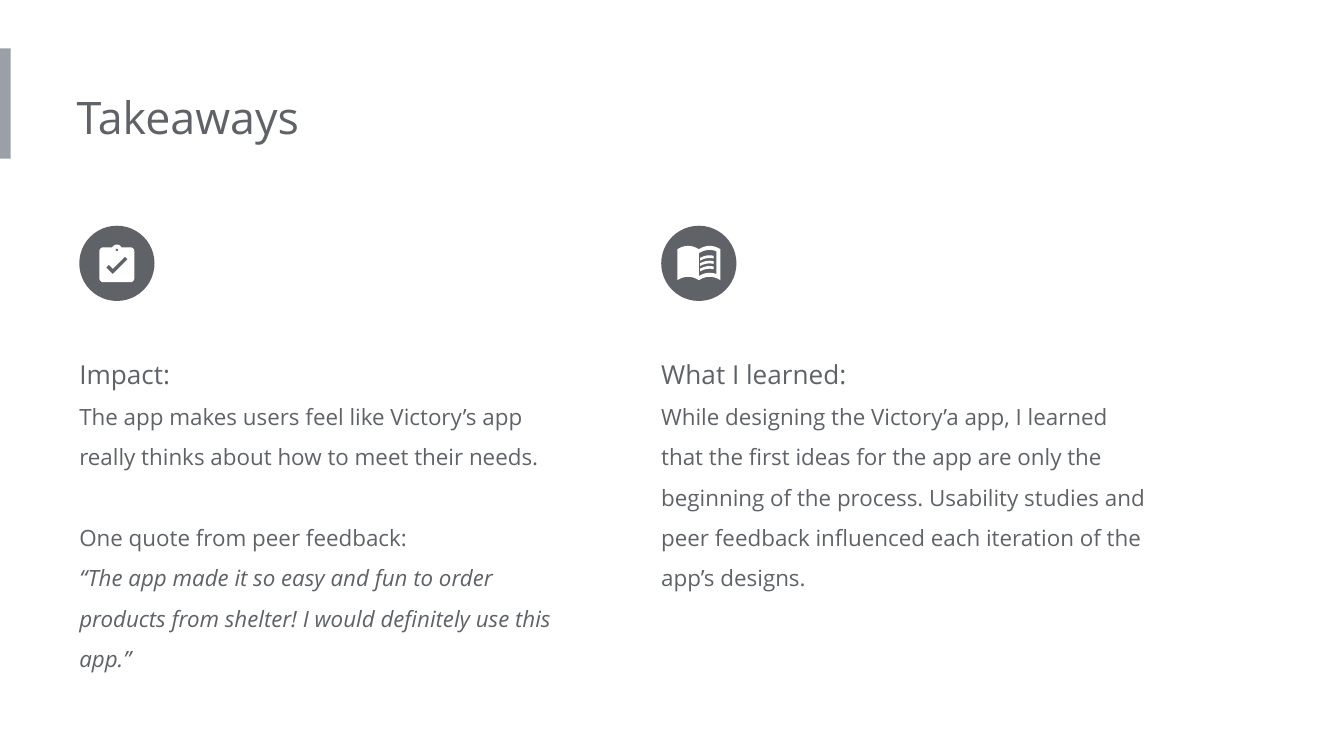
import math
from dataclasses import dataclass

import pptx
import pptx.dml.color
import pptx.enum.shapes
import pptx.enum.text
import pptx.util

Inches, Pt = pptx.util.Inches, pptx.util.Pt
SHAPE = pptx.enum.shapes.MSO_SHAPE
Point = tuple[float, float]
Contour = list[Point]

COLORS = {"text": "5F6368", "accent": "9AA0A6", "icon": "FFFFFF"}
FONT = "Open Sans"
WIDTH = 10
HEIGHT = WIDTH * 9 / 16

# Column grid, in inches
MARGIN, PITCH, COLUMN_WIDTH = 0.59, 4.33, 3.77
BADGE_TOP, BADGE_SIZE, BODY_TOP = 1.68, 0.56, 2.45


@dataclass
class Line:
    text: str
    size: int = 12
    italic: bool = False
    before: float = 0


@dataclass
class Column:
    lines: list[Line]
    height: float
    icon: list[list[Contour]]  # shapes made of contours around the badge centre


def rgb(name: str) -> pptx.dml.color.RGBColor:
    return pptx.dml.color.RGBColor.from_string(COLORS[name])


def arc(cx: float, cy: float, radius: float, start: int, end: int) -> Contour:
    """Points on a clockwise arc; angles are in degrees from the right."""
    angles = [math.radians(start + (end - start) * i / 12) for i in range(13)]
    return [(cx + radius * math.cos(a), cy + radius * math.sin(a)) for a in angles]


def page_edge(x0: float, x1: float, peak_y: float) -> Contour:
    """A curved page edge that is highest in the middle of its page."""
    xs = [x0 + (x1 - x0) * i / 12 for i in range(13)]
    return [(x, peak_y + 3.9 * (abs(x) - 0.08) ** 2) for x in xs]


def page_band(x0: float, x1: float, top: float, bottom: float) -> Contour:
    return page_edge(x0, x1, top) + page_edge(x1, x0, bottom)


def clipboard_icon() -> list[list[Contour]]:
    board = (arc(0, -0.1, 0.04, 210, 330)
             + arc(0.1, -0.09, 0.03, 270, 360) + arc(0.1, 0.11, 0.03, 0, 90)
             + arc(-0.1, 0.11, 0.03, 90, 180) + arc(-0.1, -0.09, 0.03, 180, 270))
    pin = arc(0, -0.1, 0.01, 0, 360)
    check = [(-0.03, 0.08), (-0.08, 0.03), (-0.06, 0.01),
             (-0.03, 0.04), (0.06, -0.05), (0.08, -0.03)]
    return [[board, pin, check]]


def book_icon() -> list[list[Contour]]:
    cover = (page_edge(-0.16, 0, -0.13) + page_edge(0, 0.16, -0.13)
             + page_edge(0.16, 0, 0.1) + page_edge(0, -0.16, 0.1))
    page = page_band(0, 0.13, -0.1, 0.07)
    text_rows = [page_band(0.01, 0.11, y, y + 0.02) for y in (-0.06, -0.02, 0.02)]
    return [[cover, page]] + [[row] for row in text_rows]


def paint(sp, color: str) -> None:
    sp.shadow.inherit = False
    sp.fill.solid()
    sp.fill.fore_color.rgb = rgb(color)
    sp.line.fill.background()


def add_block(s, kind, box: tuple[float, ...], color: str) -> None:
    paint(s.shapes.add_shape(kind, *map(Inches, box)), color)


def add_icon_part(s, contours: list[Contour], cx: float, cy: float) -> None:
    placed = [[(Inches(cx + x), Inches(cy + y)) for x, y in c] for c in contours]
    builder = s.shapes.build_freeform(*placed[0][0])
    builder.add_line_segments(placed[0][1:])
    for contour in placed[1:]:
        builder.move_to(*contour[0])
        builder.add_line_segments(contour[1:])
    paint(builder.convert_to_shape(), "icon")


def add_text(s, box: tuple[float, ...], lines: list[Line], spacing: float) -> None:
    tf = s.shapes.add_textbox(*map(Inches, box)).text_frame
    frame_format = {"word_wrap": True, "margin_left": 0, "margin_top": Inches(0.1),
                    "margin_right": Inches(0.1), "margin_bottom": Inches(0.1),
                    "vertical_anchor": pptx.enum.text.MSO_ANCHOR.TOP}
    for name, value in frame_format.items():
        setattr(tf, name, value)
    for i, line in enumerate(lines):
        p = tf.add_paragraph() if i else tf.paragraphs[0]
        p.line_spacing = spacing
        if line.before:
            p.space_before = Pt(line.before)
        r = p.add_run()
        r.text = line.text
        font_format = {"name": FONT, "size": Pt(line.size), "italic": line.italic}
        for name, value in font_format.items():
            setattr(r.font, name, value)
        r.font.color.rgb = rgb("text")


def add_column(s, index: int, column: Column) -> None:
    left = MARGIN + index * PITCH
    add_text(s, (left, BODY_TOP, COLUMN_WIDTH, column.height), column.lines, 1.5)
    add_block(s, SHAPE.OVAL, (left, BADGE_TOP, BADGE_SIZE, BADGE_SIZE), "text")
    for contours in column.icon:
        add_icon_part(s, contours, left + BADGE_SIZE / 2, BADGE_TOP + BADGE_SIZE / 2)


COLUMNS = [
    Column([
        Line("Impact:", size=14),
        Line("The app makes users feel like Victory’s app really thinks about "
             "how to meet their needs."),
        Line("One quote from peer feedback:", before=21.6),
        Line("“The app made it so easy and fun to order products from shelter! "
             "I would definitely use this app.”", italic=True),
    ], 2.68, clipboard_icon()),
    Column([
        Line("What I learned:", size=14),
        Line("While designing the Victory’a app, I learned that the first ideas for "
             "the app are only the beginning of the process. Usability studies and "
             "peer feedback influenced each iteration of the app’s designs."),
    ], 2.07, book_icon()),
]


def main() -> None:
    prs = pptx.Presentation()
    prs.slide_width, prs.slide_height = Inches(WIDTH), Inches(HEIGHT)
    s = prs.slides.add_slide(prs.slide_layouts[6])
    add_block(s, SHAPE.RECTANGLE, (0, 0.36, 0.08, 0.82), "accent")
    add_text(s, (0.57, 0.57, 5.39, 0.61), [Line("Takeaways", size=24)], 1.0)
    for index, column in enumerate(COLUMNS):
        add_column(s, index, column)
    prs.save("out.pptx")


if __name__ == "__main__":
    main()
